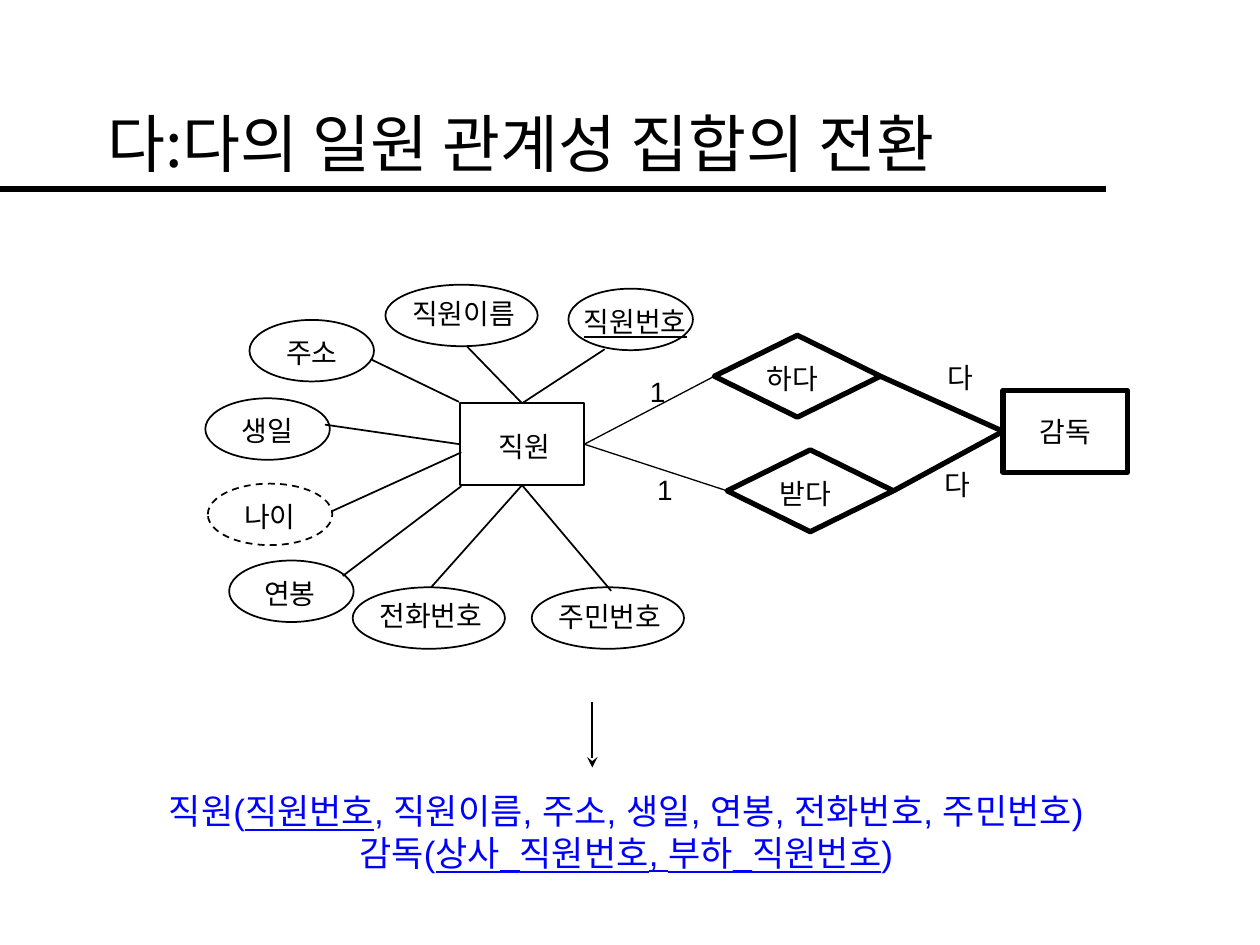
from dataclasses import dataclass

from lxml import etree
from pptx import Presentation
from pptx.dml.color import RGBColor
from pptx.enum.dml import MSO_LINE
from pptx.enum.shapes import MSO_CONNECTOR, MSO_SHAPE
from pptx.enum.text import MSO_ANCHOR, MSO_AUTO_SIZE, PP_ALIGN
from pptx.oxml.ns import qn
from pptx.util import Cm, Pt

ELLIPSE, RECT, DIAMOND = MSO_SHAPE.OVAL, MSO_SHAPE.RECTANGLE, MSO_SHAPE.DIAMOND
STRAIGHT = MSO_CONNECTOR.STRAIGHT
LEFT_ALIGN, CENTER = PP_ALIGN.LEFT, PP_ALIGN.CENTER
MIDDLE = MSO_ANCHOR.MIDDLE
TOP, LEFT, BOTTOM, RIGHT = range(4)  # connection sites


@dataclass(frozen=True)
class Theme:
    ink: RGBColor = RGBColor(0, 0, 0)
    paper: RGBColor = RGBColor(255, 255, 255)
    accent: RGBColor = RGBColor(0, 0, 255)
    sans: str = "Arial"
    serif: str = "Times New Roman"
    korean: str = "Noto Sans CJK KR"
    title: float = 36
    schema: float = 20
    label: float = 16
    fine: float = 0.75
    thin: float = 1
    thick: float = 3
    rule: float = 4


@dataclass(frozen=True)
class Node:
    """A diagram shape in cm; dx and dy shift its label off the centre."""
    text: str
    x: float
    y: float
    w: float = 2.51
    h: float = 1.24
    dx: float = 0
    dy: float = 0.03
    kind: int = ELLIPSE
    dashed: bool = False


T = Theme()
LABEL_H = 0.94

ATTRIBUTES = [
    Node("직원번호", 11.46, 5.82, dx=0.09, dy=0.05),
    Node("직원이름", 7.77, 5.74, w=3.07, dx=0.04, dy=-0.03),
    Node("전화번호", 7.11, 11.84, w=3.07, dx=0.04, dy=-0.05),
    Node("주민번호", 10.72, 11.84, w=3.07, dx=0.04, dy=-0.03),
    Node("생일", 4.14, 8.03),
    Node("연봉", 4.62, 11.3, dx=-0.03, dy=0.05),
    Node("나이", 4.19, 9.75, dy=0.05, dashed=True),
    Node("주소", 5.03, 6.45),
]
KEY = "직원번호"
EMPLOYEE = Node("직원", 9.27, 8.13, h=1.65, dx=0.05, dy=0.05, kind=RECT)
MANAGER = Node("감독", 20.22, 7.87, h=1.65, kind=RECT)
DOES = Node("하다", 14.4, 6.76, 3.35, 1.65, -0.1, 0.05, DIAMOND)
RECEIVES = Node("받다", 14.66, 9.07, 3.35, 1.65, -0.1, 0.05, DIAMOND)

# Attribute lines: start, and the employee side they join
JOINED_LINES = [
    ((6.55, 8.56), LEFT), ((9.42, 6.99), TOP), ((12.19, 7.04), TOP),
    ((8.69, 11.84), BOTTOM), ((12.32, 11.91), BOTTOM),
]
# Attribute lines that end at or near a corner
FREE_LINES = [
    ((7.47, 7.24), (9.25, 8.1)),
    ((6.68, 10.31), (9.3, 9.12)),
    ((6.91, 11.61), (9.3, 9.8)),
]
CARDINALITIES = [("1", 12.85, 7.42), ("1", 13, 9.4),
                 ("다", 18.85, 7.14), ("다", 18.8, 9.3)]
# Relation schemas: (text, underlined)
SCHEMAS = [
    [("직원(", False), ("직원번호", True),
     (", 직원이름, 주소, 생일, 연봉, 전화번호, 주민번호)", False)],
    [("감독(", False), ("상사_직원번호, 부하_직원번호", True), (")", False)],
]


def style(p, size: float, font: str = T.sans, color: RGBColor = T.ink,
          align: int = CENTER) -> None:
    p.alignment = align
    f = p.font
    f.size, f.name, f.color.rgb = Pt(size), font, color
    rpr = p._p.pPr.find(qn("a:defRPr"))
    etree.SubElement(rpr, qn("a:ea")).set("typeface", T.korean)


def add_text(shapes, text: str, x: float, y: float, w: float,
             align: int = CENTER, underline: bool = False) -> None:
    tf = shapes.add_textbox(Cm(x), Cm(y), Cm(w), Cm(LABEL_H)).text_frame
    tf.word_wrap = align == LEFT_ALIGN
    p = tf.paragraphs[0]
    r = p.add_run()
    r.text = text
    p.line_spacing = Pt(1.2 * T.label)
    style(p, T.label, align=align)
    if underline:
        r.font.underline = True


def add_shape(shapes, n: Node, weight: float):
    sp = shapes.add_shape(n.kind, Cm(n.x), Cm(n.y), Cm(n.w), Cm(n.h))
    sp.shadow.inherit = False
    sp.fill.solid()
    sp.fill.fore_color.rgb = T.paper
    sp.line.color.rgb = T.ink
    sp.line.width = Pt(weight)
    if n.dashed:
        sp.line.dash_style = MSO_LINE.DASH
    return sp


def add_node(shapes, n: Node, weight: float = T.thin):
    sp = add_shape(shapes, n, weight)
    w = 0.51 + 0.52 * len(n.text)
    add_text(shapes, n.text, n.x + (n.w - w) / 2 + n.dx,
             n.y + (n.h - LABEL_H) / 2 + n.dy, w, underline=n.text == KEY)
    return sp


def add_line(shapes, start: tuple, end: tuple, weight: float = T.thin):
    c = shapes.add_connector(STRAIGHT, *(Cm(v) for v in start + end))
    c.line.color.rgb = T.ink
    c.line.width = Pt(weight)
    etree.SubElement(c._element.spPr, qn("a:effectLst"))
    return c


def join(shapes, a, side_a: int, b, side_b: int, weight: float) -> None:
    c = add_line(shapes, (0, 0), (0, 0), weight)
    c.begin_connect(a, side_a)
    c.end_connect(b, side_b)


def main() -> None:
    prs = Presentation()
    prs.slide_width, prs.slide_height = Cm(25.4), Cm(19.05)
    s = prs.slides.add_slide(prs.slide_layouts[5])
    shapes = s.shapes

    # Title and its rule
    title = shapes.title
    title.left, title.top = Cm(1.91), Cm(1.27)
    title.width, title.height = Cm(21.59), Cm(3.18)
    tf = title.text_frame
    tf.text = "다:다의 일원 관계성 집합의 전환"
    tf.auto_size = MSO_AUTO_SIZE.NONE
    tf.vertical_anchor = MIDDLE
    style(tf.paragraphs[0], T.title, T.korean, align=LEFT_ALIGN)
    add_line(shapes, (0, 3.81), (22.3, 3.81), T.rule)

    # Attributes, each grouped with its label
    for n in ATTRIBUTES:
        add_node(shapes.add_group_shape().shapes, n)

    # Entities and relationships
    employee = add_node(shapes, EMPLOYEE)
    manager = add_shape(shapes, MANAGER, T.thick)
    tf = manager.text_frame
    tf.text = MANAGER.text
    tf.word_wrap = False
    tf.vertical_anchor = MIDDLE
    style(tf.paragraphs[0], T.label, T.serif)
    for n in (DOES, RECEIVES):
        diamond = add_node(shapes, n, T.thick)
        join(shapes, employee, RIGHT, diamond, LEFT, T.fine)
        join(shapes, diamond, RIGHT, manager, LEFT, T.thick)

    # Attribute lines
    for start, side in JOINED_LINES:
        add_line(shapes, start, start).end_connect(employee, side)
    for start, end in FREE_LINES:
        add_line(shapes, start, end)

    # Cardinalities
    for text, x, y in CARDINALITIES:
        add_text(shapes, text, x, y, 0.84, LEFT_ALIGN)

    # Arrow down to the schemas
    arrow = add_line(shapes, (11.94, 14.15), (11.94, 15.47))
    etree.SubElement(arrow.line._get_or_add_ln(),
                     qn("a:tailEnd")).set("type", "stealth")

    # Relation schemas
    tf = shapes.add_textbox(Cm(1.88), Cm(15.8), Cm(21.49), Cm(2.79)).text_frame
    tf.word_wrap = False
    for i, schema in enumerate(SCHEMAS):
        p = tf.add_paragraph() if i else tf.paragraphs[0]
        p.line_spacing = Pt(1.2 * T.schema)
        style(p, T.schema, color=T.accent)
        for text, underlined in schema:
            r = p.add_run()
            r.text = text
            if underlined:
                r.font.underline = True

    prs.save("out.pptx")


if __name__ == "__main__":
    main()
